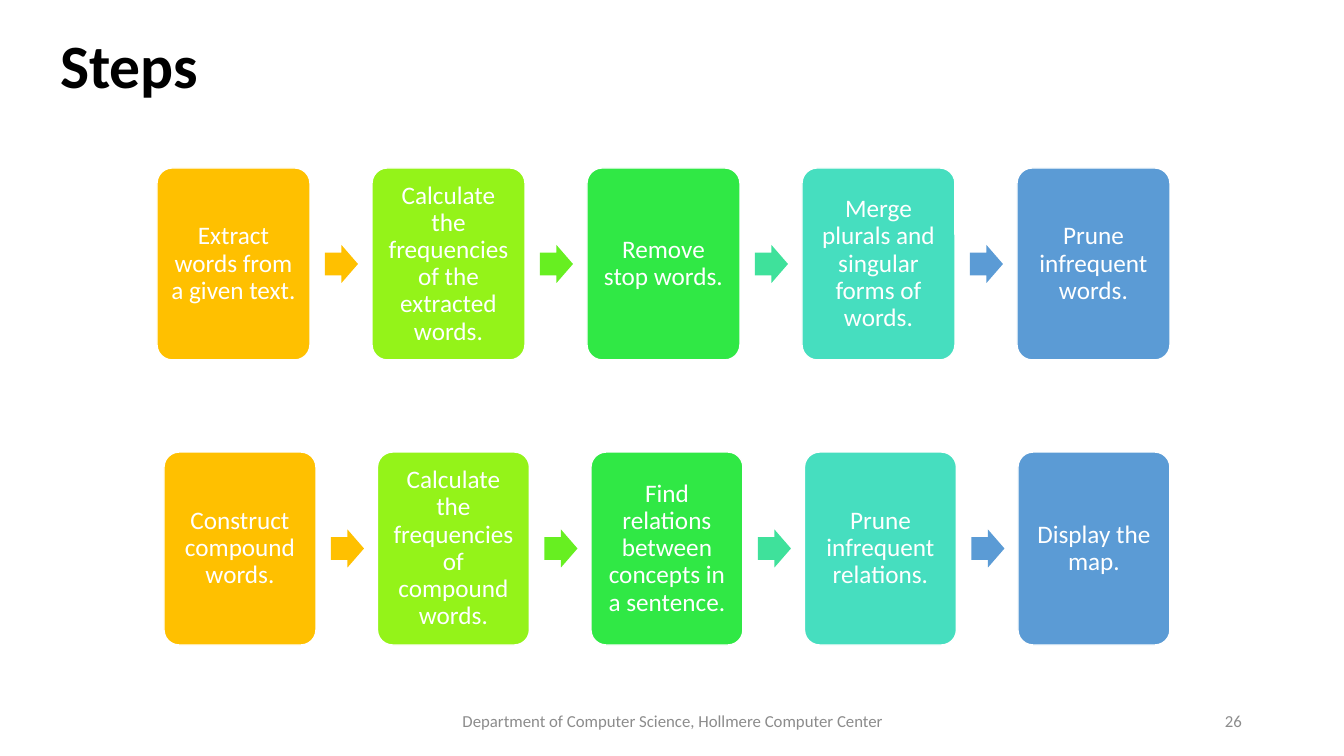
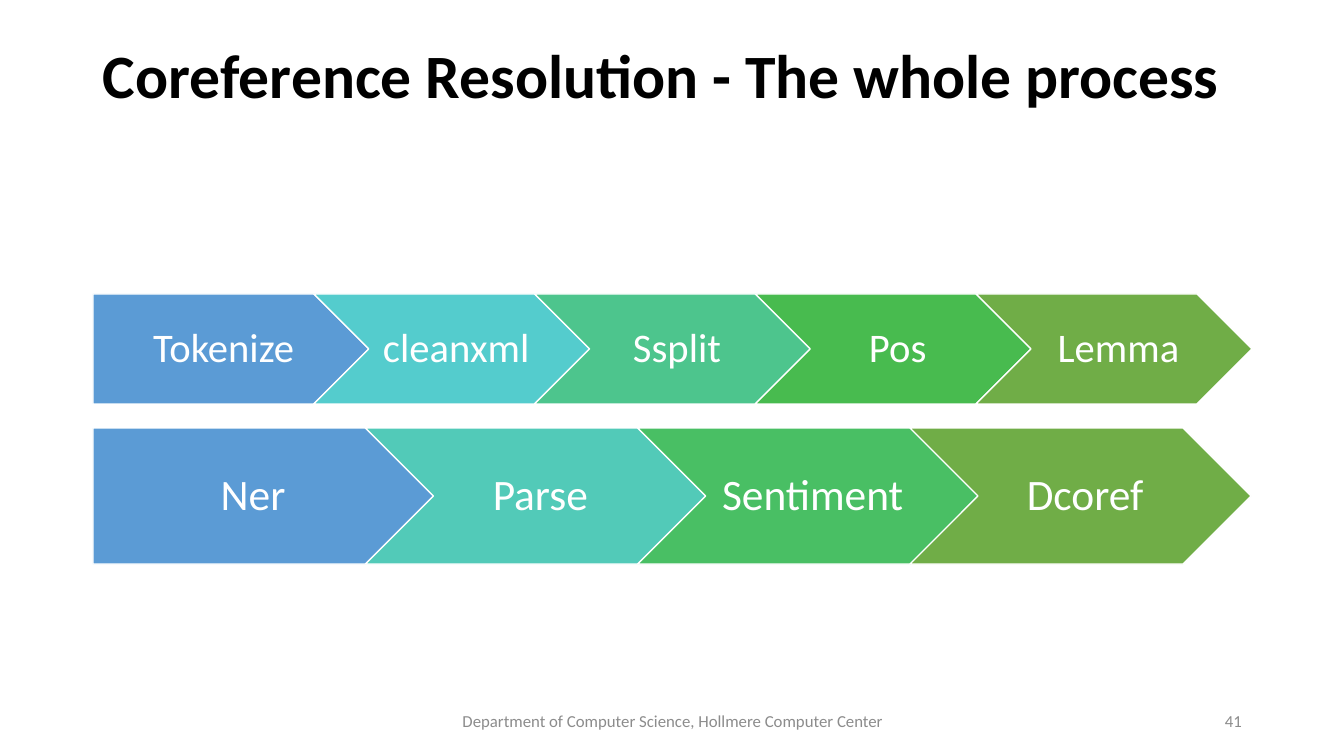
from pptx import Presentation
from pptx.dml.color import RGBColor
from pptx.enum.shapes import MSO_SHAPE as Shape
from pptx.enum.text import MSO_ANCHOR as Anchor, MSO_AUTO_SIZE as AutoSize, PP_ALIGN as Align
from pptx.util import Emu, Pt

EMU_PER_PX = 914400 / 100.8

BLACK = RGBColor(0x00, 0x00, 0x00)
WHITE = RGBColor(0xFF, 0xFF, 0xFF)
GREY = RGBColor(0x8C, 0x8C, 0x8C)
AMBER = RGBColor(0xFF, 0xC0, 0x00)
LIME = RGBColor(0x94, 0xF3, 0x19)
LEAF = RGBColor(0x67, 0xEF, 0x21)
GREEN = RGBColor(0x30, 0xE8, 0x45)
MINT = RGBColor(0x3F, 0xE1, 0x9B)
AQUA = RGBColor(0x46, 0xDE, 0xBF)
BLUE = RGBColor(0x5B, 0x9B, 0xD5)
CYAN = RGBColor(0x54, 0xCC, 0xCD)
JADE = RGBColor(0x4D, 0xC5, 0x8D)
GRASS = RGBColor(0x48, 0xBB, 0x4F)
TEAL = RGBColor(0x52, 0xCA, 0xB8)
MEADOW = RGBColor(0x49, 0xBF, 0x64)
OLIVE = RGBColor(0x70, 0xAD, 0x47)

FONT = "Calibri"
FOOTER = "Department of Computer Science, Hollmere Computer Center"
TITLE_STYLE = {"size": 44, "color": BLACK, "bold": True, "align": Align.LEFT,
               "anchor": Anchor.TOP, "spacing": 0.9}
FOOTER_STYLE = {"size": 12, "color": GREY, "bold": False, "align": Align.CENTER,
                "anchor": Anchor.MIDDLE, "spacing": 1.0}
NUMBER_STYLE = {**FOOTER_STYLE, "align": Align.RIGHT}
LABEL_STYLE = {**FOOTER_STYLE, "size": 18, "color": WHITE, "spacing": 0.9}


def px(*lengths):
    return [Emu(round(length * EMU_PER_PX)) for length in lengths]


def write(shape, text, style, margins=(10, 5, 10, 5)):
    """Fill a shape with one styled paragraph; margins are left, top, right, bottom in px."""
    frame = shape.text_frame
    frame.text = text
    para = frame.paragraphs[0]
    left, top, right, bottom = px(*margins)
    formats = (
        (frame, {"word_wrap": True, "auto_size": AutoSize.NONE,
                 "vertical_anchor": style["anchor"], "margin_left": left,
                 "margin_top": top, "margin_right": right, "margin_bottom": bottom}),
        (para, {"alignment": style["align"], "line_spacing": style["spacing"]}),
        (para.runs[0].font, {"name": FONT, "size": Pt(style["size"]), "bold": style["bold"]}),
    )
    for target, values in formats:
        for name, value in values.items():
            setattr(target, name, value)
    para.runs[0].font.color.rgb = style["color"]


deck = Presentation()
deck.slide_width, deck.slide_height = px(1344, 756)
title_only = deck.slide_layouts[5]

# Titles, footers and page numbers
pages = []
for title, title_box, number in (
    ("Steps", (50, 30, 1217, 126), "26"),
    ("Coreference Resolution - The whole process", (93, 40, 1159, 146), "41"),
):
    slide = deck.slides.add_slide(title_only)
    pages.append(slide)
    heading = slide.shapes.title
    heading.left, heading.top, heading.width, heading.height = px(*title_box)
    write(heading, title, TITLE_STYLE)
    write(slide.shapes.add_textbox(*px(446, 701, 454, 40)), FOOTER, FOOTER_STYLE)
    write(slide.shapes.add_textbox(*px(950, 701, 302, 40)), number, NUMBER_STYLE)
steps_page, process_page = pages

# Step cards with an arrow after each but the last
CARD_FILLS = (AMBER, LIME, GREEN, AQUA, BLUE)
ARROW_FILLS = (AMBER, LEAF, MINT, BLUE)
ARROW_WIDTH, ARROW_HEIGHT = 33, 38
card_rows = (
    (157, 1017, 168, 153, 192, (
        "Extract words from a given text.",
        "Calculate the frequencies of the extracted words.",
        "Remove stop words.",
        "Merge plurals and singular forms of words.",
        "Prune infrequent words.")),
    (164, 1018, 452, 152, 193, (
        "Construct compound words.",
        "Calculate the frequencies of compound words.",
        "Find relations between concepts in a sentence.",
        "Prune infrequent relations.",
        "Display the map.")),
)
for first_left, last_left, top, width, height, steps in card_rows:
    row = steps_page.shapes.add_group_shape()
    pitch = (last_left - first_left) / (len(steps) - 1)
    for index, step in enumerate(steps):
        left = first_left + index * pitch
        card = row.shapes.add_shape(Shape.ROUNDED_RECTANGLE, *px(left, top, width, height))
        card.adjustments[0] = 0.1
        card.shadow.inherit = False
        card.fill.solid()
        card.fill.fore_color.rgb = CARD_FILLS[index]
        card.line.color.rgb = WHITE
        card.line.width = Pt(1)
        write(card, step, LABEL_STYLE, (7, 7, 7, 7))
        if index < len(ARROW_FILLS):
            arrow = row.shapes.add_shape(Shape.RIGHT_ARROW, *px(
                left + width + 15, top + (height - ARROW_HEIGHT) / 2, ARROW_WIDTH, ARROW_HEIGHT))
            arrow.adjustments[0] = 0.6
            arrow.adjustments[1] = 0.5
            arrow.shadow.inherit = False
            arrow.fill.solid()
            arrow.fill.fore_color.rgb = ARROW_FILLS[index]
            arrow.line.fill.background()

# Process bands: a pentagon followed by chevrons
bands = (
    (93, 976, 294, 276, 110, 29, (17, 8, 4, 8), (13, 8, 4, 8), (
        ("Tokenize", BLUE), ("cleanxml", CYAN), ("Ssplit", JADE),
        ("Pos", GRASS), ("Lemma", OLIVE))),
    (93, 910, 428, 341, 136, 31, (18, 9, 5, 9), (14, 9, 5, 9), (
        ("Ner", BLUE), ("Parse", TEAL), ("Sentiment", MEADOW), ("Dcoref", OLIVE))),
)
for first_left, last_left, top, width, height, size, first_margins, margins, stages in bands:
    band = process_page.shapes.add_group_shape()
    pitch = (last_left - first_left) / (len(stages) - 1)
    for index, (stage, color) in enumerate(stages):
        outline = Shape.CHEVRON if index else Shape.PENTAGON
        link = band.shapes.add_shape(
            outline, *px(first_left + index * pitch, top, width, height))
        link.shadow.inherit = False
        link.fill.solid()
        link.fill.fore_color.rgb = color
        link.line.color.rgb = WHITE
        link.line.width = Pt(1)
        write(link, stage, {**LABEL_STYLE, "size": size}, margins if index else first_margins)

deck.save("out.pptx")
